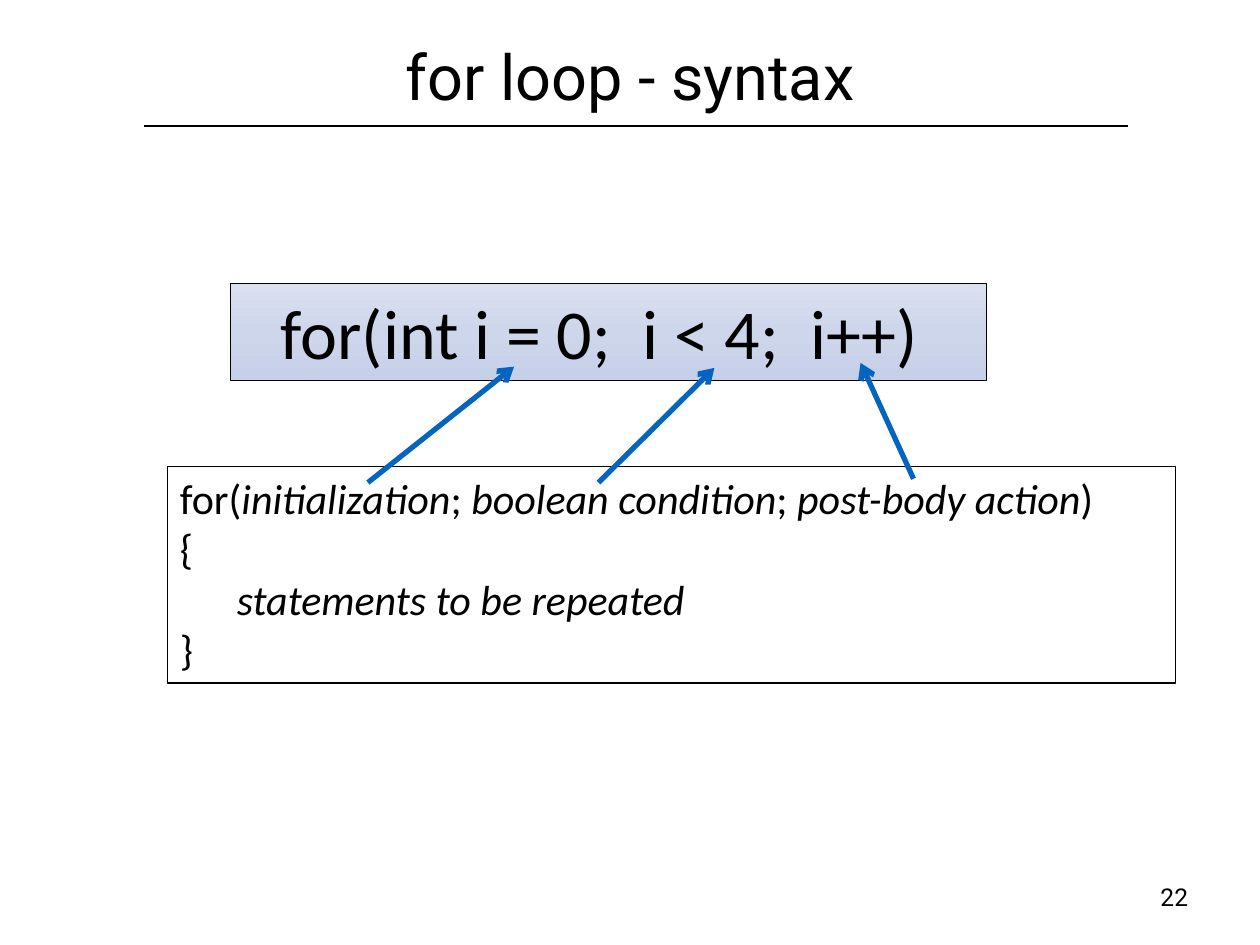
from copy import deepcopy
from pptx import Presentation, util as u
from pptx.dml import color
from pptx.enum import shapes, text
from pptx.oxml import ns, xmlchemy as xc

WIDE, HIGH = 10, 7.5
BLACK, BLUE = "000000", "0365C0"
TINTS = ["DAE0F0", "CED6EB", "C7D0E9"]
LEFT, MID = text.PP_ALIGN.LEFT, text.PP_ALIGN.CENTER


def rgb(code):
    return color.RGBColor.from_string(code)


def write(shape, lines, size, font, align=LEFT, anchor=text.MSO_ANCHOR.TOP,
          pad=(0.1, 0.05, 0.1, 0.05), wrap=True):
    """Fill a shape with lines, each a list of parts that are roman and italic in turn."""
    frame = shape.text_frame
    frame.word_wrap = wrap
    frame.vertical_anchor = anchor
    (frame.margin_left, frame.margin_top,
     frame.margin_right, frame.margin_bottom) = map(u.Inches, pad)
    for row, parts in enumerate(lines):
        para = frame.add_paragraph() if row else frame.paragraphs[0]
        para.alignment = align
        for spot, part in enumerate(parts):
            run = para.add_run()
            run.text = part
            run.font.size, run.font.name = u.Pt(size), font
            run.font.italic = spot % 2 == 1
            run.font.color.rgb = rgb(BLACK)


def rule(slide, start, end, hue, width, arrow=False):
    line = slide.shapes.add_connector(
        shapes.MSO_CONNECTOR.STRAIGHT, *map(u.Inches, start + end))
    line.line.color.rgb, line.line.width = rgb(hue), u.Pt(width)
    if arrow:
        tip = xc.OxmlElement("a:tailEnd")
        tip.set("type", "arrow")
        line.line._get_or_add_ln().append(tip)
    line._element.spPr.append(xc.OxmlElement("a:effectLst"))


def shade(fill, tints):
    """Run a gradient of evenly spaced tints from top to bottom."""
    fill.gradient()
    fill.gradient_angle = 270
    stops = fill._fill._gradFill.find(ns.qn("a:gsLst"))
    stops.insert(1, deepcopy(stops[0]))
    for step, (stop, tint) in enumerate(zip(fill.gradient_stops, tints)):
        stop.position = step / (len(tints) - 1)
        stop.color.rgb = rgb(tint)


def panel(slide, box, edge, tints=None):
    shape = slide.shapes.add_shape(
        shapes.MSO_SHAPE.RECTANGLE, *map(u.Inches, box))
    shape.shadow.inherit = False
    shape.line.color.rgb, shape.line.width = rgb(BLACK), u.Pt(edge)
    if tints:
        shade(shape.fill, tints)
    else:
        shape.fill.background()
    return shape


def label(slide, box, words, size, **form):
    shape = slide.shapes.add_textbox(*map(u.Inches, box))
    write(shape, [[words]], size, "Roboto", align=MID, pad=(0.06,) * 4, **form)


def header(slide, box):
    left, top, width, height = box
    rule(slide, (left + 0.64, top + 1), (left + 8.45, top + 1), BLACK, 0.75)
    label(slide, box, "for loop - syntax", 36, anchor=text.MSO_ANCHOR.MIDDLE)


def sample(slide, box):
    shape = panel(slide, box, 0.5, TINTS)
    write(shape, [["for(int i = 0;  i < 4;  i++)"]], 40, "Calibri",
          align=MID, pad=(0.1, 0.05, 0.24, 0.05))


def syntax(slide, box):
    write(panel(slide, box, 0.75), [
        ["for(", "initialization", "; ", "boolean condition", "; ",
         "post-body action", ")"],
        ["{"],
        ["      ", "statements to be repeated"],
        ["}"],
    ], 24, "Calibri")


def links(slide, low, high):
    """Point from each part of the syntax box up to its match in the sample."""
    left, top = low[:2]
    head, base = high[0], high[1] + high[3]
    for tail, drop, tip, rise in ((1.59, 0.13, 2.25, 0.11),
                                  (3.42, 0.13, 3.84, 0.1),
                                  (5.92, 0.1, 5, 0.14)):
        rule(slide, (left + tail, top + drop), (head + tip, base - rise),
             BLUE, 3, arrow=True)


def main():
    deck = Presentation()
    deck.slide_width, deck.slide_height = u.Inches(WIDE), u.Inches(HIGH)
    slide = deck.slides.add_slide(deck.slide_layouts[6])
    high = (1.83, 0.3 * HIGH, 0.6 * WIDE, 0.77)
    low = (1.33, 3.7, 0.8 * WIDE, 1.72)
    header(slide, (0.05 * WIDE, 0, 0.9 * WIDE, 1.19))
    sample(slide, high)
    syntax(slide, low)
    links(slide, low, high)
    label(slide, (9.15, 6.94, 0.34, 0.34), "22", 14, wrap=False)
    deck.save("out.pptx")


if __name__ == "__main__":
    main()
